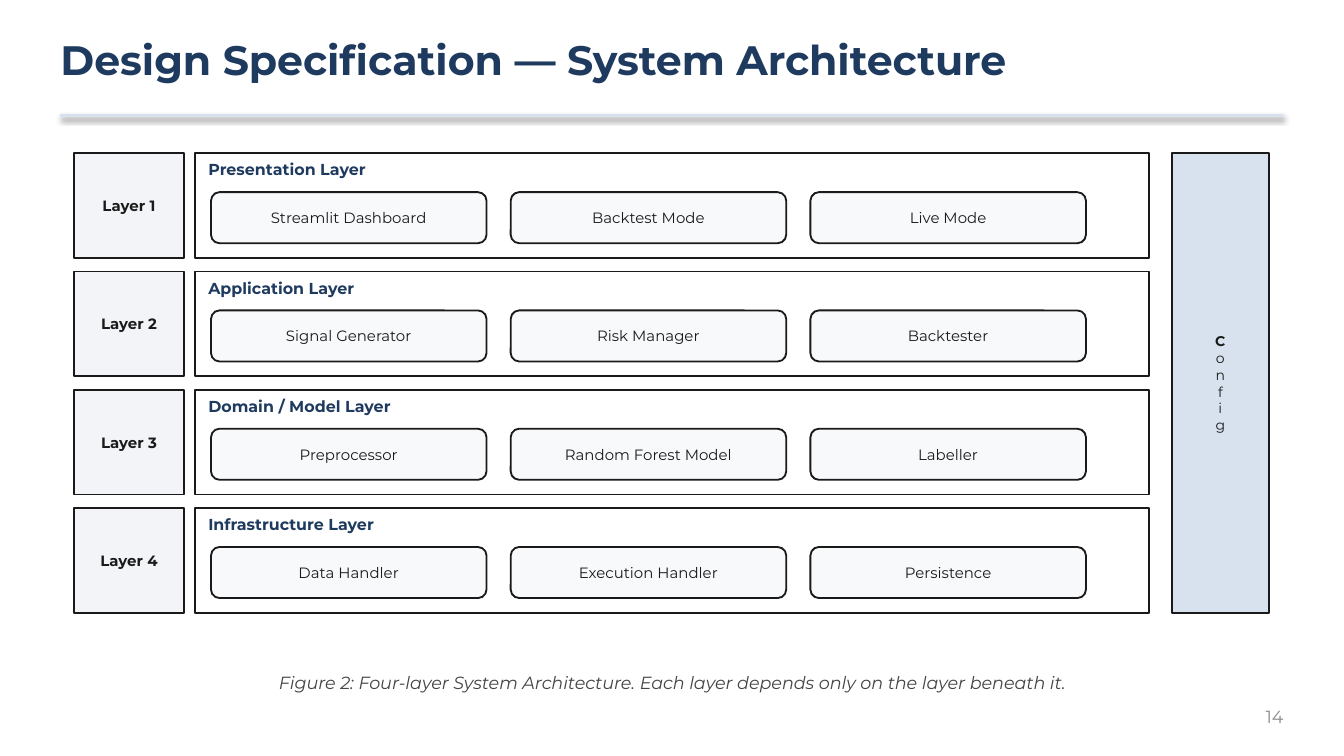
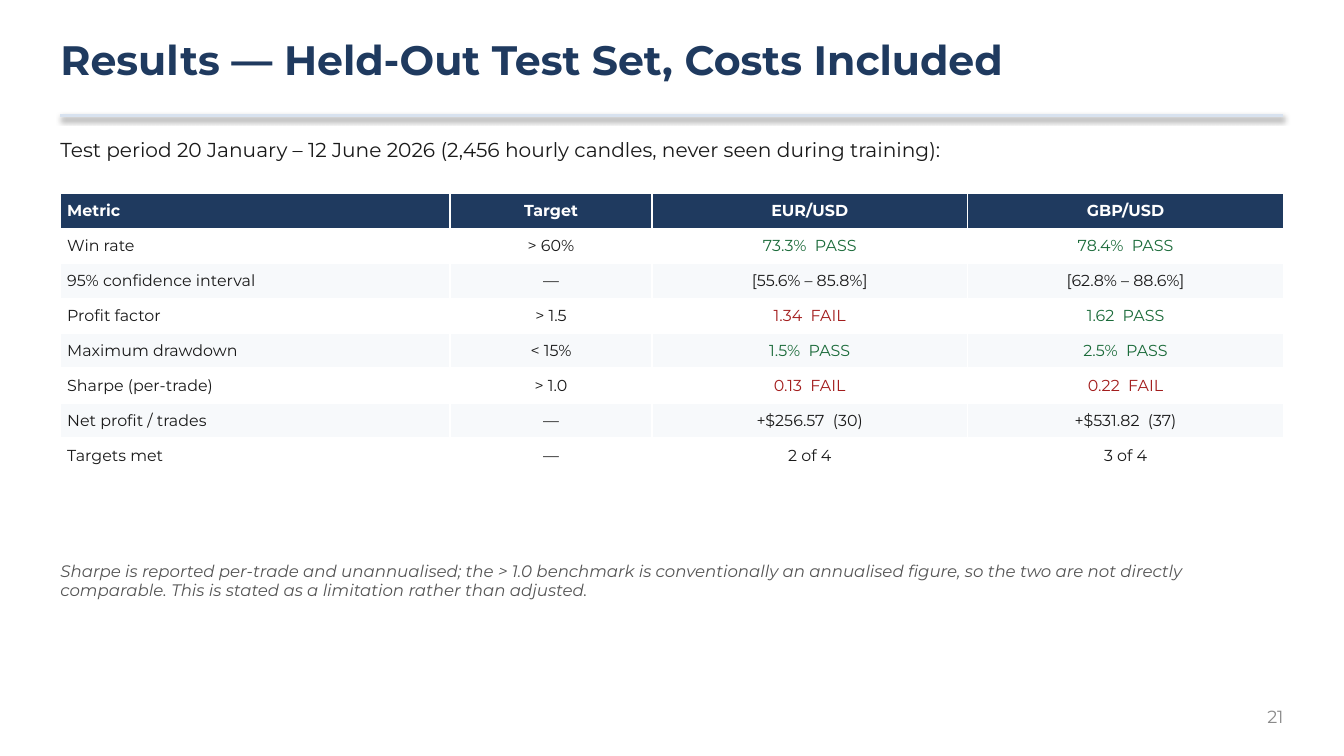
"""Build the architecture and results slides of a trading system presentation."""
from lxml import etree
from pptx import Presentation
from pptx.dml.color import RGBColor
from pptx.enum.shapes import MSO_CONNECTOR, MSO_SHAPE
from pptx.enum.text import MSO_ANCHOR, MSO_AUTO_SIZE, PP_ALIGN
from pptx.oxml.ns import qn
from pptx.util import Inches, Pt

LEFT, CENTER, RIGHT = PP_ALIGN.LEFT, PP_ALIGN.CENTER, PP_ALIGN.RIGHT
TOP, MIDDLE = MSO_ANCHOR.TOP, MSO_ANCHOR.MIDDLE
GROW = MSO_AUTO_SIZE.SHAPE_TO_FIT_TEXT
RECTANGLE, ROUNDED = MSO_SHAPE.RECTANGLE, MSO_SHAPE.ROUNDED_RECTANGLE
STRAIGHT = MSO_CONNECTOR.STRAIGHT

FONT = "Montserrat"
COLORS = {
    "navy": "1F3A5F", "ink": "1A1A1A", "white": "FFFFFF", "pale_blue": "D8E2EF",
    "label": "F2F4F7", "tint": "F7F9FB", "number": "8A8A8A", "caption": "444444",
    "note": "555555", "pass": "1B6B3A", "fail": "A31D1D", "shadow": "000000",
}
WIDTH, MARGIN = 10, 0.45
HEIGHT = WIDTH * 9 / 16
CONTENT = WIDTH - 2 * MARGIN
NO_INSET, SMALL_INSET, CELL_INSET = (0, 0), (0.03, 0.02), (0.05, 0.02)


def write(area, frame, lines, size, color="ink", align=LEFT, anchor=TOP,
          inset=NO_INSET, **font_format):
    """Fill a text frame; area is the frame or cell that owns margins and anchor."""
    side, end = map(Inches, inset)
    area_format = {"margin_left": side, "margin_right": side, "margin_top": end,
                   "margin_bottom": end, "vertical_anchor": anchor, "word_wrap": True}
    for name, value in area_format.items():
        setattr(area, name, value)
    for index, line in enumerate(lines):
        para = frame.add_paragraph() if index else frame.paragraphs[0]
        para.alignment = align
        span = para.add_run()
        span.text = line
        for name, value in {"name": FONT, "size": Pt(size), **font_format}.items():
            setattr(span.font, name, value)
        span.font.color.rgb = RGBColor.from_string(COLORS[color])


def add_box(page, place, lines, size=8, kind=None, fill=None, **text_format):
    """Add a plain text box, or an outlined shape when a kind is given."""
    place = [Inches(length) for length in place]
    if kind is None:
        box = page.shapes.add_textbox(*place)
        box.text_frame.auto_size = GROW
    else:
        box = page.shapes.add_shape(kind, *place)
        box.shadow.inherit = False
        box.fill.solid()
        box.fill.fore_color.rgb = RGBColor.from_string(COLORS[fill])
        box.line.color.rgb = RGBColor.from_string(COLORS["ink"])
        box.line.width = Pt(1)
        text_format = {"align": CENTER, "anchor": MIDDLE, "inset": SMALL_INSET, **text_format}
    write(box.text_frame, box.text_frame, lines, size, **text_format)
    return box


deck = Presentation()
deck.slide_width, deck.slide_height = Inches(WIDTH), Inches(HEIGHT)

pages = []
for heading, number in [("Design Specification — System Architecture", "14"),
                        ("Results — Held-Out Test Set, Costs Included", "21")]:
    page = deck.slides.add_slide(deck.slide_layouts[5])
    page.background.fill.solid()
    page.background.fill.fore_color.rgb = RGBColor.from_string(COLORS["white"])
    title = page.shapes.title
    title_place = {"left": MARGIN, "top": 0.26, "width": CONTENT, "height": 0.5}
    for name, value in title_place.items():
        setattr(title, name, Inches(value))
    title.text_frame.auto_size = GROW
    write(title.text_frame, title.text_frame, [heading], 22, "navy", bold=True)

    rule_ends = [Inches(length) for length in (MARGIN, 0.86, MARGIN + CONTENT, 0.86)]
    rule = page.shapes.add_connector(STRAIGHT, *rule_ends)
    rule.line.color.rgb = RGBColor.from_string(COLORS["pale_blue"])
    rule.line.width = Pt(1.5)
    effects = etree.SubElement(rule._element.spPr, qn("a:effectLst"))
    shadow = etree.SubElement(effects, qn("a:outerShdw"), blurRad=str(Pt(3.1)),
                              dist=str(Pt(1.6)), dir="5400000", rotWithShape="0")
    shade = etree.SubElement(shadow, qn("a:srgbClr"), val=COLORS["shadow"])
    etree.SubElement(shade, qn("a:alpha"), val="38000")

    add_box(page, (MARGIN + CONTENT - 0.4, 5.25, 0.4, 0.25), [number], 9.4,
            color="number", align=RIGHT)
    pages.append(page)
architecture, results = pages

LAYERS = {
    "Presentation Layer": ["Streamlit Dashboard", "Backtest Mode", "Live Mode"],
    "Application Layer": ["Signal Generator", "Risk Manager", "Backtester"],
    "Domain / Model Layer": ["Preprocessor", "Random Forest Model", "Labeller"],
    "Infrastructure Layer": ["Data Handler", "Execution Handler", "Persistence"],
}
LAYER_TOP, LAYER_HEIGHT, LAYER_GAP = 1.14, 0.78, 0.1
LAYER_PITCH = LAYER_HEIGHT + LAYER_GAP
PANEL_LEFT, PART_WIDTH, PART_GAP = 1.45, 2.05, 0.18

for row, (layer, parts) in enumerate(LAYERS.items()):
    top = LAYER_TOP + row * LAYER_PITCH
    add_box(architecture, (0.55, top, 0.82, LAYER_HEIGHT), [f"Layer {row + 1}"],
            kind=RECTANGLE, fill="label", bold=True)
    add_box(architecture, (PANEL_LEFT, top, 7.1, LAYER_HEIGHT), [],
            kind=RECTANGLE, fill="white")
    add_box(architecture, (PANEL_LEFT + 0.1, top + 0.05, 2, 0.2), [layer], 8.5,
            color="navy", bold=True)
    for column, part in enumerate(parts):
        left = PANEL_LEFT + 0.12 + column * (PART_WIDTH + PART_GAP)
        add_box(architecture, (left, top + 0.29, PART_WIDTH, 0.38), [part],
                kind=ROUNDED, fill="tint")

config = add_box(architecture,
                 (8.72, LAYER_TOP, 0.72, len(LAYERS) * LAYER_PITCH - LAYER_GAP),
                 "Config", 7.5, kind=RECTANGLE, fill="pale_blue")
config.text_frame.paragraphs[0].runs[0].font.bold = True
add_box(architecture, (MARGIN, 5, CONTENT, 0.3),
        ["Figure 2: Four-layer System Architecture. "
         "Each layer depends only on the layer beneath it."],
        9.4, color="caption", align=CENTER, italic=True)

add_box(results, (MARGIN, 1.02, CONTENT, 0.3),
        ["Test period 20 January – 12 June 2026 "
         "(2,456 hourly candles, never seen during training):"], 10.8)

METRICS = [
    ("Metric", "Target", "EUR/USD", "GBP/USD"),
    ("Win rate", "> 60%", "73.3%  PASS", "78.4%  PASS"),
    ("95% confidence interval", "—", "[55.6% – 85.8%]", "[62.8% – 88.6%]"),
    ("Profit factor", "> 1.5", "1.34  FAIL", "1.62  PASS"),
    ("Maximum drawdown", "< 15%", "1.5%  PASS", "2.5%  PASS"),
    ("Sharpe (per-trade)", "> 1.0", "0.13  FAIL", "0.22  FAIL"),
    ("Net profit / trades", "—", "+$256.57  (30)", "+$531.82  (37)"),
    ("Targets met", "—", "2 of 4", "3 of 4"),
]
COLUMN_WIDTHS, ROW_HEIGHT = (2.9, 1.5, 2.35, 2.35), 0.26
VERDICTS = {"PASS": "pass", "FAIL": "fail"}

table_place = (MARGIN, 1.44, CONTENT, ROW_HEIGHT * len(METRICS))
table = results.shapes.add_table(len(METRICS), len(COLUMN_WIDTHS),
                                 *[Inches(length) for length in table_place]).table
for column, width in zip(table.columns, COLUMN_WIDTHS):
    column.width = Inches(width)
for row, values in enumerate(METRICS):
    table.rows[row].height = Inches(ROW_HEIGHT)
    fill = "navy" if row == 0 else ("tint", "white")[row % 2]
    for column, value in enumerate(values):
        cell = table.cell(row, column)
        cell.fill.solid()
        cell.fill.fore_color.rgb = RGBColor.from_string(COLORS[fill])
        color = "white" if row == 0 else VERDICTS.get(value[-4:], "ink")
        write(cell, cell.text_frame, [value], 8.5, color, CENTER if column else LEFT,
              MIDDLE, CELL_INSET, bold=row == 0)

add_box(results, (MARGIN, 4.17, CONTENT, 0.5),
        ["Sharpe is reported per-trade and unannualised; the > 1.0 benchmark is "
         "conventionally an annualised figure, so the two are not directly comparable. "
         "This is stated as a limitation rather than adjusted."],
        8.9, color="note", italic=True)

deck.save("out.pptx")
